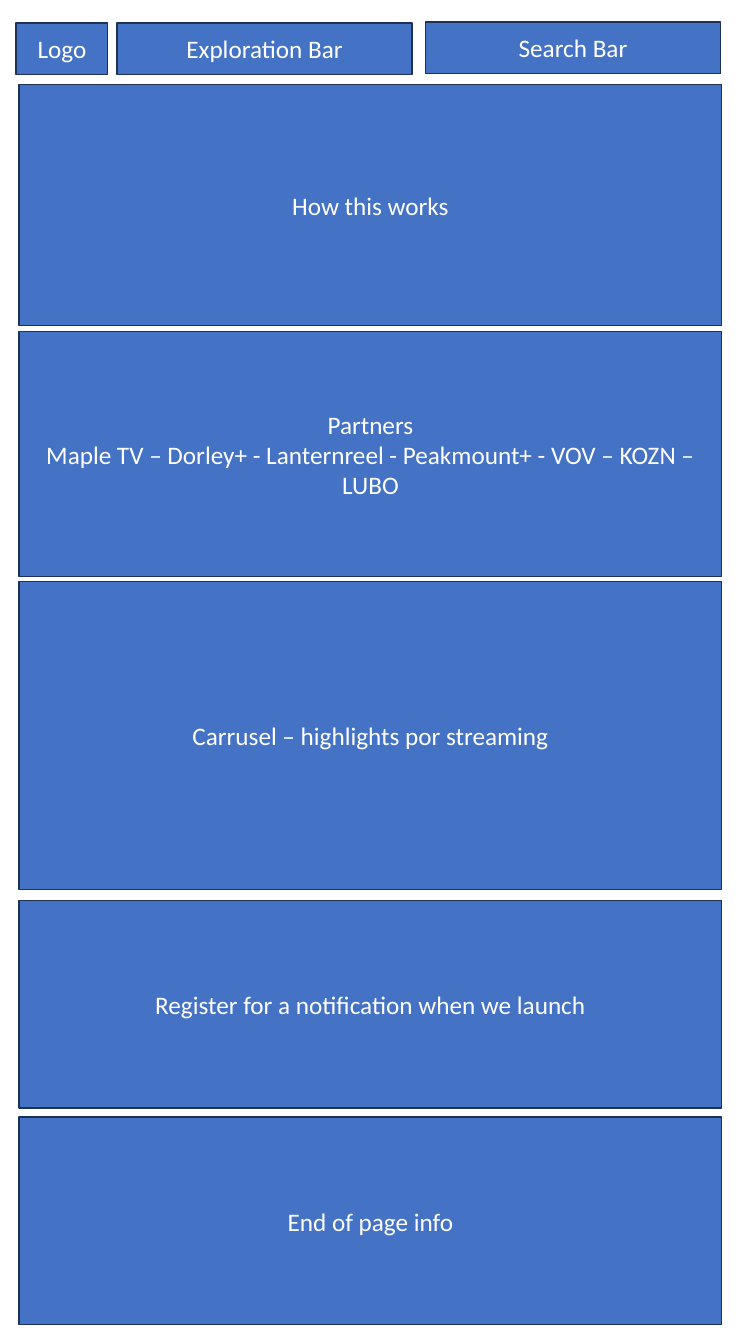
from pptx import Presentation
from pptx.dml.color import RGBColor
from pptx.enum.shapes import MSO_SHAPE as Shape
from pptx.enum.text import MSO_ANCHOR as Anchor, PP_ALIGN as Align
from pptx.util import Inches, Pt

# Content: header boxes as (label, left, top, width)
HEADER = [
    ("Logo", 0.16, 0.23, 0.91),
    ("Exploration Bar", 1.16, 0.23, 2.93),
    ("Search Bar", 4.22, 0.22, 2.93),
]
PARTNERS = "Maple TV – Dorley+ - Lanternreel - Peakmount+ - VOV – KOZN – LUBO"
# Page sections as (text, height, gap below)
SECTIONS = [
    ("How this works", 2.39, 0.06),
    ("Partners\n" + PARTNERS, 2.43, 0.05),
    ("Carrusel – highlights por streaming", 3.05, 0.11),
    ("Register for a notification when we launch", 2.06, 0.09),
    ("End of page info", 2.06, 0),
]
COLORS = {"fill": "4472C4", "border": "1E3256", "text": "FFFFFF"}
HEADER_HEIGHT = 0.51
SECTION_LEFT, SECTION_TOP, SECTION_WIDTH = 0.19, 0.84, 6.97

deck = Presentation()
deck.slide_width, deck.slide_height = Inches(7.5), Inches(13.33)
page = deck.slides.add_slide(deck.slide_layouts[6])


def color(name):
    return RGBColor.from_string(COLORS[name])


def add_block(text, left, top, width, height):
    block = page.shapes.add_shape(Shape.RECTANGLE, *map(Inches, (left, top, width, height)))
    block.shadow.inherit = False
    block.fill.solid()
    block.fill.fore_color.rgb = color("fill")
    block.line.color.rgb = color("border")
    block.line.width = Pt(1)
    frame = block.text_frame
    frame.word_wrap = True
    frame.vertical_anchor = Anchor.MIDDLE
    frame.text = text
    for paragraph in frame.paragraphs:
        paragraph.alignment = Align.CENTER
        for run in paragraph.runs:
            run.font.name = "Calibri"
            run.font.size = Pt(18)
            run.font.color.rgb = color("text")


# Header row
for label, left, top, width in HEADER:
    add_block(label, left, top, width, HEADER_HEIGHT)

# Sections stacked down the page
top = SECTION_TOP
for text, height, gap in SECTIONS:
    add_block(text, SECTION_LEFT, top, SECTION_WIDTH, height)
    top += height + gap

deck.save("out.pptx")
